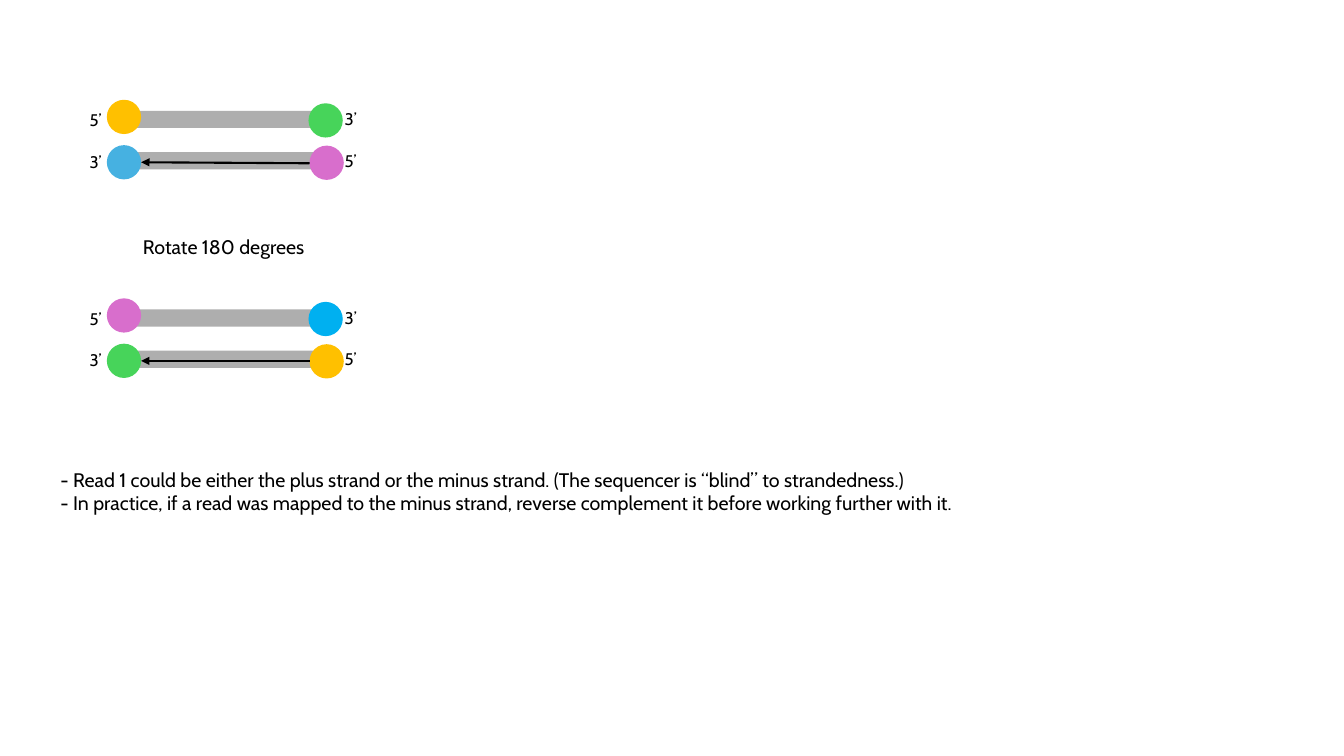
from lxml.etree import SubElement
from pptx import Presentation
from pptx.dml.color import RGBColor
from pptx.enum.shapes import MSO_CONNECTOR, MSO_SHAPE
from pptx.enum.text import MSO_AUTO_SIZE
from pptx.oxml.ns import qn
from pptx.util import Inches, Pt

BLACK = RGBColor(0x00, 0x00, 0x00)
GRAY = RGBColor(0xAE, 0xAE, 0xAE)
GOLD = RGBColor(0xFF, 0xC0, 0x00)
SKY = RGBColor(0x46, 0xB1, 0xE1)
BLUE = RGBColor(0x00, 0xB0, 0xF0)
GREEN = RGBColor(0x47, 0xD4, 0x5A)
PINK = RGBColor(0xD8, 0x6E, 0xCC)

FONT = "Cabin"
DOT = 0.34


def add_text(page, box, text, size=14, color=BLACK):
    frame = page.shapes.add_textbox(*map(Inches, box)).text_frame
    frame.word_wrap = False
    frame.auto_size = MSO_AUTO_SIZE.SHAPE_TO_FIT_TEXT
    for index, line in enumerate(text.split("\n")):
        para = frame.paragraphs[0] if index == 0 else frame.add_paragraph()
        span = para.add_run()
        span.text = line
        span.font.name = FONT
        span.font.size = Pt(size)
        span.font.color.rgb = color


def add_solid(page, kind, box, color):
    shape = page.shapes.add_shape(kind, *map(Inches, box))
    shape.shadow.inherit = False
    shape.fill.solid()
    shape.fill.fore_color.rgb = color
    shape.line.fill.background()


def add_arrow(page, start, end):
    arrow = page.shapes.add_connector(
        MSO_CONNECTOR.STRAIGHT, *map(Inches, (*start, *end)))
    arrow.line.color.rgb = BLACK
    arrow.line.width = Pt(1.5)
    SubElement(arrow.line._get_or_add_ln(), qn("a:tailEnd"), type="triangle")
    SubElement(arrow._element.spPr, qn("a:effectLst"))


def draw_duplex(page, box, dot_colors, arrow_slope):
    left, top, width, height = box
    bar_left, bar_width = left + 0.33, width - 0.67
    for offset in (0.11, 0.52):
        bar = (bar_left, top + offset, bar_width, 0.17)
        add_solid(page, MSO_SHAPE.RECTANGLE, bar, GRAY)

    label_right = left + width - DOT
    for text, x, offset in (
        ("5’", left, 0.05),
        ("3’", label_right, 0.04),
        ("3’", left, 0.465),
        ("5’", label_right, 0.455),
    ):
        add_text(page, (x, top + offset, DOT, 0.3), text, size=12)

    dot_left, dot_right = left + 0.27, left + 2.28
    dot_places = (
        (dot_left, 0), (dot_left, 0.45), (dot_right - 0.01, 0.035), (dot_right, 0.455))
    for (x, offset), color in zip(dot_places, dot_colors):
        add_solid(page, MSO_SHAPE.OVAL, (x, top + offset, DOT, DOT), color)

    arrow_y = top + height - 0.17
    add_arrow(page, (dot_right, arrow_y + arrow_slope), (dot_left + DOT, arrow_y))


def draw_notes(page, box):
    add_text(page, box, (
        "- Read 1 could be either the plus strand or the minus strand. "
        "(The sequencer is “blind” to strandedness.)\n"
        "- In practice, if a read was mapped to the minus strand, "
        "reverse complement it before working further with it."))


def main():
    deck = Presentation()
    deck.slide_width, deck.slide_height = Inches(13.33), Inches(7.5)
    page = deck.slides.add_slide(deck.slide_layouts[6])
    draw_duplex(page, (0.79, 0.99, 2.87, 0.79), (GOLD, SKY, GREEN, PINK), 0.01)
    add_text(page, (1.32, 2.28, 1.83, 0.34), "Rotate 180 degrees")
    draw_duplex(page, (0.79, 2.96, 2.87, 0.79), (PINK, GREEN, BLUE, GOLD), 0)
    draw_notes(page, (0.5, 4.59, 9.22, 0.57))
    deck.save("out.pptx")


if __name__ == "__main__":
    main()
